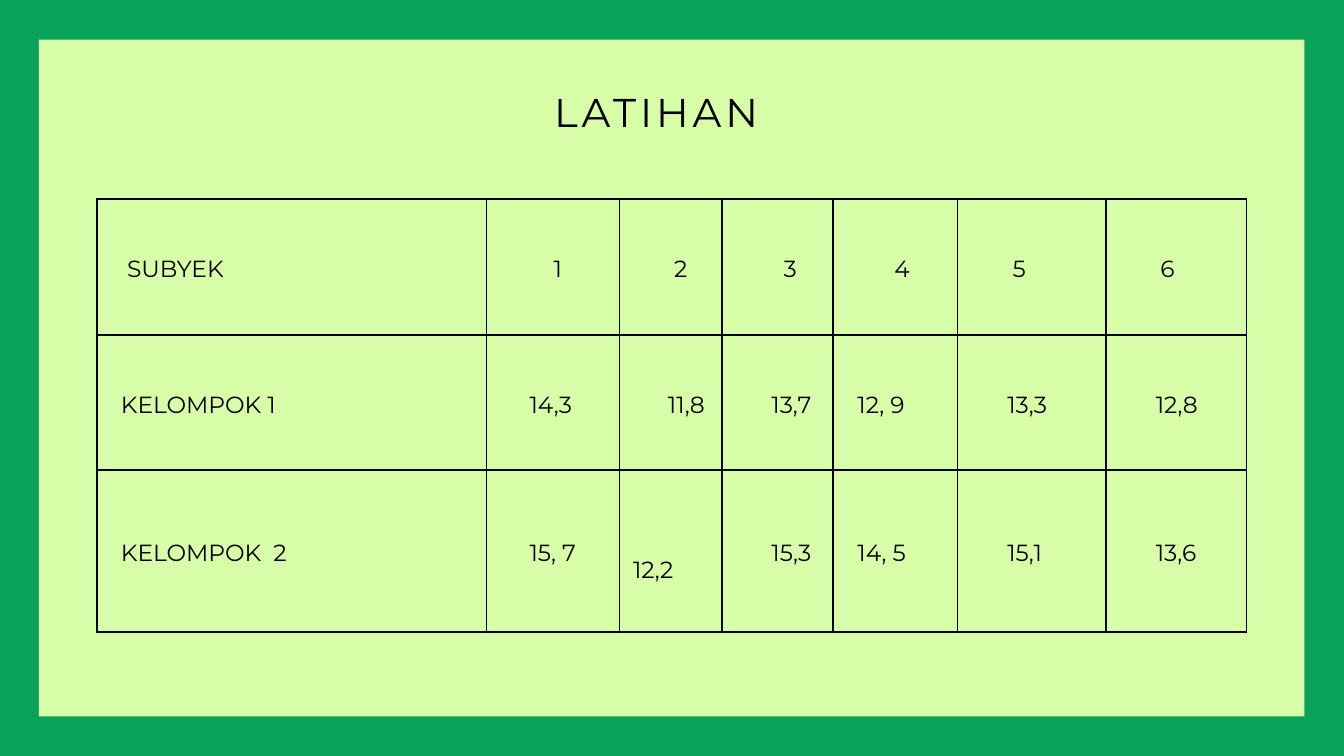
"""Builds the LATIHAN slide: a title above a table of two groups by six subjects."""
import pptx
import pptx.dml.color
import pptx.enum.text
import pptx.oxml
import pptx.oxml.ns
import pptx.util

FONT = "Montserrat"
GREEN, LIME, BLACK = "09A258", "D7FDA8", "000000"
TITLE = "LATIHAN"
ROWS = [
    ["SUBYEK", "1", "2", "3", "4", "5", "6"],
    ["KELOMPOK 1", "14,3", "11,8", "13,7", "12, 9", "13,3", "12,8"],
    ["KELOMPOK  2", "15, 7", "12,2", "15,3", "14, 5", "15,1", "13,6"],
]
COLUMN_WIDTHS = [5.8, 1.98, 1.52, 1.65, 1.86, 2.21, 2.09]
ROW_HEIGHTS = [2.02, 2.02, 2.4]
HEADER_INDENTS = [0.45, 1.0, 0.81, 0.92, 0.92, 0.82, 0.81]
VALUE_INDENTS = [0.36, 0.64, 0.72, 0.74, 0.37, 0.74, 0.74]
LOWERED_CELL = (2, 2)
PADDING = 0.2
LOWERED_TOP = PADDING + 0.5
BORDER_WIDTH = 2.25

inches = pptx.util.Inches


def color(value):
    return pptx.dml.color.RGBColor.from_string(value)


def style(paragraph, size, line_spacing):
    paragraph.line_spacing = pptx.util.Pt(line_spacing)
    paragraph.font.name = FONT
    paragraph.font.size = pptx.util.Pt(size)
    paragraph.font.color.rgb = color(BLACK)


def add_borders(cell):
    properties = cell._tc.get_or_add_tcPr()
    namespace = pptx.oxml.ns.nsdecls("a")
    for side in ("lnL", "lnR", "lnT", "lnB"):
        properties.append(pptx.oxml.parse_xml(
            f'<a:{side} {namespace} w="{pptx.util.Pt(BORDER_WIDTH)}"><a:solidFill>'
            f'<a:srgbClr val="{BLACK}"/></a:solidFill></a:{side}>'))


def add_panel(slide):
    panel = slide.shapes.add_shape(
        pptx.enum.shapes.MSO_SHAPE.RECTANGLE,
        inches(0.58), inches(0.59), inches(18.83), inches(10.07))
    panel.shadow.inherit = False
    panel.fill.solid()
    panel.fill.fore_color.rgb = color(LIME)
    panel.line.fill.background()


def add_title(slide):
    box = slide.shapes.add_textbox(inches(5.79), inches(1.37), inches(7.95), inches(0.66))
    frame = box.text_frame
    frame.word_wrap = True
    frame.margin_left = frame.margin_right = frame.margin_top = frame.margin_bottom = 0
    paragraph = frame.paragraphs[0]
    paragraph.alignment = pptx.enum.text.PP_ALIGN.CENTER
    run = paragraph.add_run()
    run.text = TITLE
    style(paragraph, 43, 46.9)
    run.font._element.set("spc", "430")


def fill_cell(cell, text, indent, top):
    add_borders(cell)
    cell.fill.background()
    cell.vertical_anchor = pptx.enum.text.MSO_ANCHOR.MIDDLE
    cell.margin_left, cell.margin_right = inches(indent), inches(0.05)
    cell.margin_top, cell.margin_bottom = inches(top), inches(PADDING)
    cell.text = text
    style(cell.text_frame.paragraphs[0], 25, 35)


def add_scores(slide):
    table = slide.shapes.add_table(
        len(ROWS), len(COLUMN_WIDTHS), inches(1.44), inches(2.96),
        inches(sum(COLUMN_WIDTHS)), inches(sum(ROW_HEIGHTS))).table
    table.first_row = table.horz_banding = False
    for column, width in zip(table.columns, COLUMN_WIDTHS):
        column.width = inches(width)
    for row_index, texts in enumerate(ROWS):
        table.rows[row_index].height = inches(ROW_HEIGHTS[row_index])
        indents = VALUE_INDENTS if row_index else HEADER_INDENTS
        for column_index, (text, indent) in enumerate(zip(texts, indents)):
            lowered = (row_index, column_index) == LOWERED_CELL
            fill_cell(table.cell(row_index, column_index), text,
                      PADDING if lowered else indent,
                      LOWERED_TOP if lowered else PADDING)


def main():
    presentation = pptx.Presentation()
    presentation.slide_width, presentation.slide_height = inches(20), inches(11.25)
    slide = presentation.slides.add_slide(presentation.slide_layouts[6])
    slide.background.fill.solid()
    slide.background.fill.fore_color.rgb = color(GREEN)
    add_panel(slide)
    add_scores(slide)
    add_title(slide)
    presentation.save("out.pptx")


if __name__ == "__main__":
    import pptx.enum.shapes
    main()
